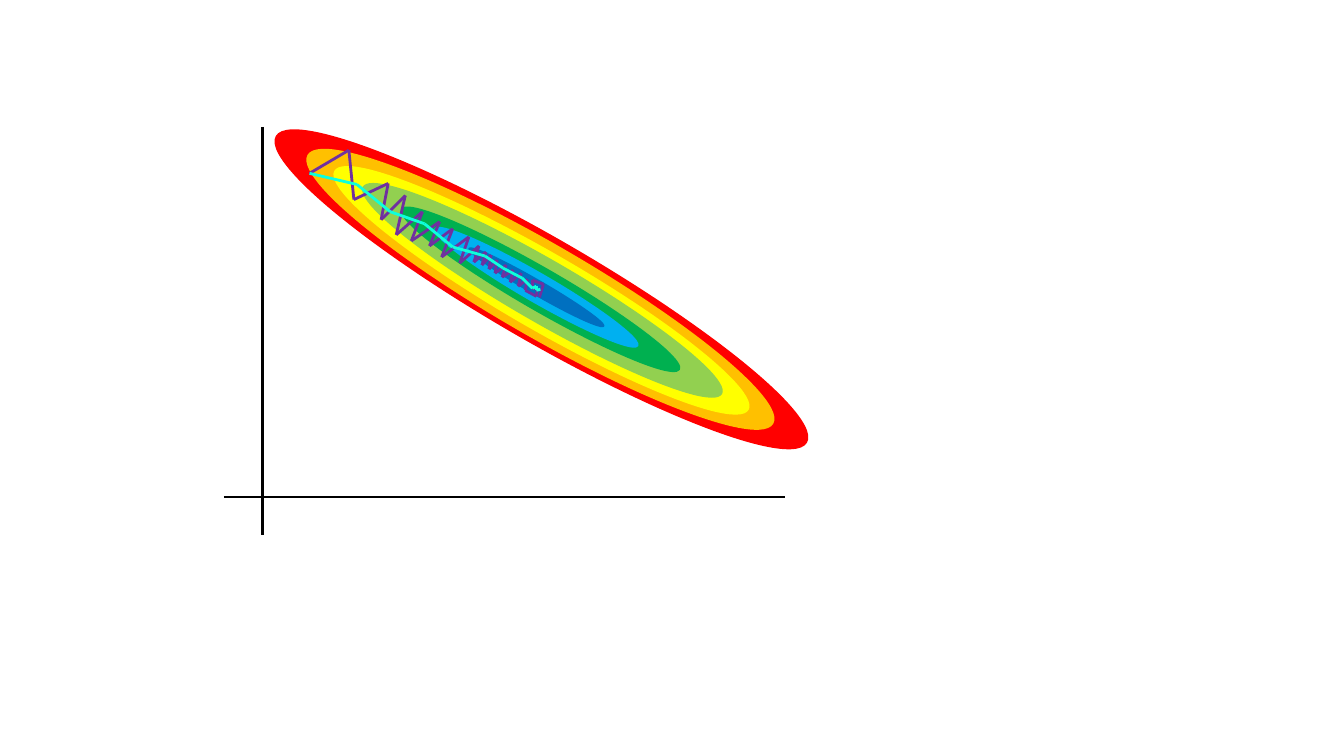
from itertools import pairwise

from pptx import Presentation
from pptx.dml.color import RGBColor
from pptx.enum.shapes import MSO_CONNECTOR, MSO_SHAPE
from pptx.oxml.ns import qn
from pptx.util import Inches, Pt
from lxml.etree import SubElement

CONTOURS = [
    ("FF0000", 3.37, 1.87, 6.07, 1.02),
    ("FFC000", 3.36, 1.87, 5.32, 0.91),
    ("FFFF00", 3.37, 1.88, 4.73, 0.75),
    ("92D050", 3.38, 1.88, 4.1, 0.61),
    ("00B050", 3.36, 1.87, 3.18, 0.41),
    ("00B0F0", 3.32, 1.85, 2.32, 0.28),
    ("0070C0", 3.32, 1.85, 1.54, 0.14),
]
ZIGZAG_PATH = [
    (1.07, 0.72), (1.46, 0.49), (1.51, 0.98), (1.85, 0.82), (1.78, 1.18),
    (2.02, 0.94), (1.93, 1.33), (2.19, 1.1), (2.08, 1.39), (2.36, 1.2),
    (2.26, 1.44), (2.49, 1.27), (2.38, 1.55), (2.65, 1.35), (2.56, 1.61),
    (2.75, 1.44), (2.7, 1.6), (2.82, 1.5), (2.78, 1.63), (2.87, 1.53),
    (2.85, 1.67), (2.93, 1.58), (2.91, 1.71), (3.02, 1.63), (2.98, 1.75),
    (3.09, 1.68), (3.06, 1.8), (3.17, 1.71), (3.14, 1.84), (3.23, 1.77),
    (3.21, 1.88), (3.32, 1.94), (3.33, 1.86), (3.28, 1.86), (3.28, 1.78),
    (3.39, 1.82), (3.35, 1.95),
]
SMOOTH_PATH = [
    (1.07, 0.72), (1.54, 0.83), (1.87, 1.1), (2.21, 1.22), (2.49, 1.45),
    (2.81, 1.54), (2.99, 1.66), (3.18, 1.76), (3.28, 1.86), (3.32, 1.84),
    (3.32, 1.88), (3.36, 1.87),
]


def paint(fill_or_line, color):
    """Apply a solid hex colour to a fill."""
    fill_or_line.solid()
    fill_or_line.fore_color.rgb = RGBColor.from_string(color)


def draw_path(slide, left, top, points, color):
    """Join consecutive points with straight connectors."""
    for (x1, y1), (x2, y2) in pairwise(points):
        line = slide.shapes.add_connector(
            MSO_CONNECTOR.STRAIGHT,
            Inches(left + x1), Inches(top + y1),
            Inches(left + x2), Inches(top + y2),
        )
        paint(line.line.fill, color)
        line.line.width = Pt(2)
        SubElement(line._element.spPr, qn("a:effectLst"))


def draw_axes(slide, left, top):
    """Draw the vertical and horizontal axes."""
    draw_path(slide, left, top, [(0.6, 0.26), (0.6, 4.31)], "000000")
    draw_path(slide, left, top, [(0.22, 3.93), (5.79, 3.93)], "000000")


def draw_contours(slide, left, top):
    """Draw the nested tilted ellipses as one group."""
    group = slide.shapes.add_group_shape()
    for color, center_x, center_y, width, height in CONTOURS:
        ellipse = group.shapes.add_shape(
            MSO_SHAPE.OVAL,
            Inches(left + center_x - width / 2),
            Inches(top + center_y - height / 2),
            Inches(width), Inches(height),
        )
        ellipse.rotation = 210
        ellipse.shadow.inherit = False
        paint(ellipse.fill, color)
        paint(ellipse.line.fill, color)
        ellipse.line.width = Pt(1)


def draw_descent(slide, left, top):
    """Draw the axes, the contours and both descent paths."""
    draw_axes(slide, left, top)
    draw_contours(slide, left, top)
    draw_path(slide, left, top, ZIGZAG_PATH, "7030A0")
    draw_path(slide, left, top, SMOOTH_PATH, "0FFFDB")


presentation = Presentation()
presentation.slide_width = Inches(13.33)
presentation.slide_height = Inches(7.5)
slide = presentation.slides.add_slide(presentation.slide_layouts[6])
draw_descent(slide, 2, 1)
presentation.save("out.pptx")
